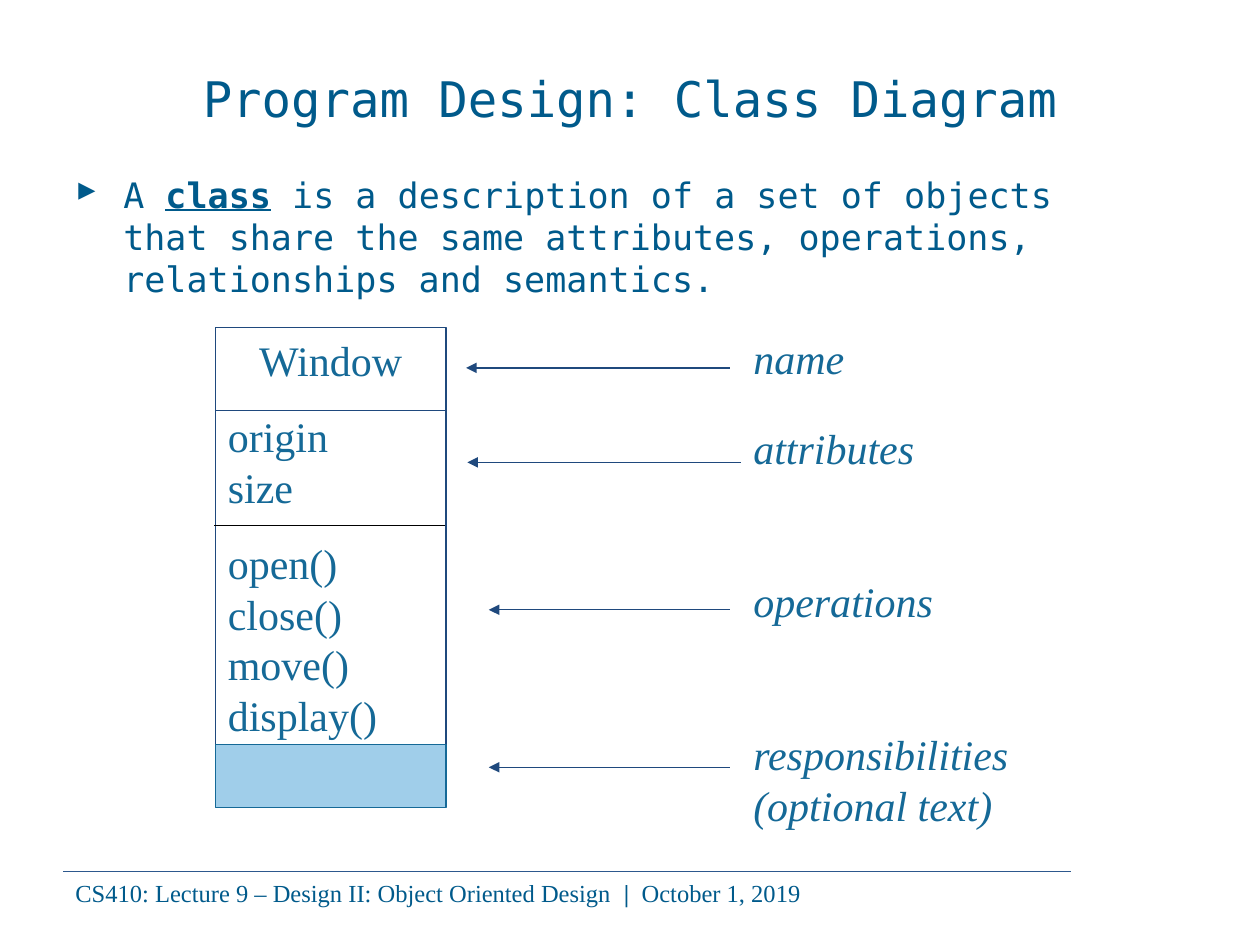
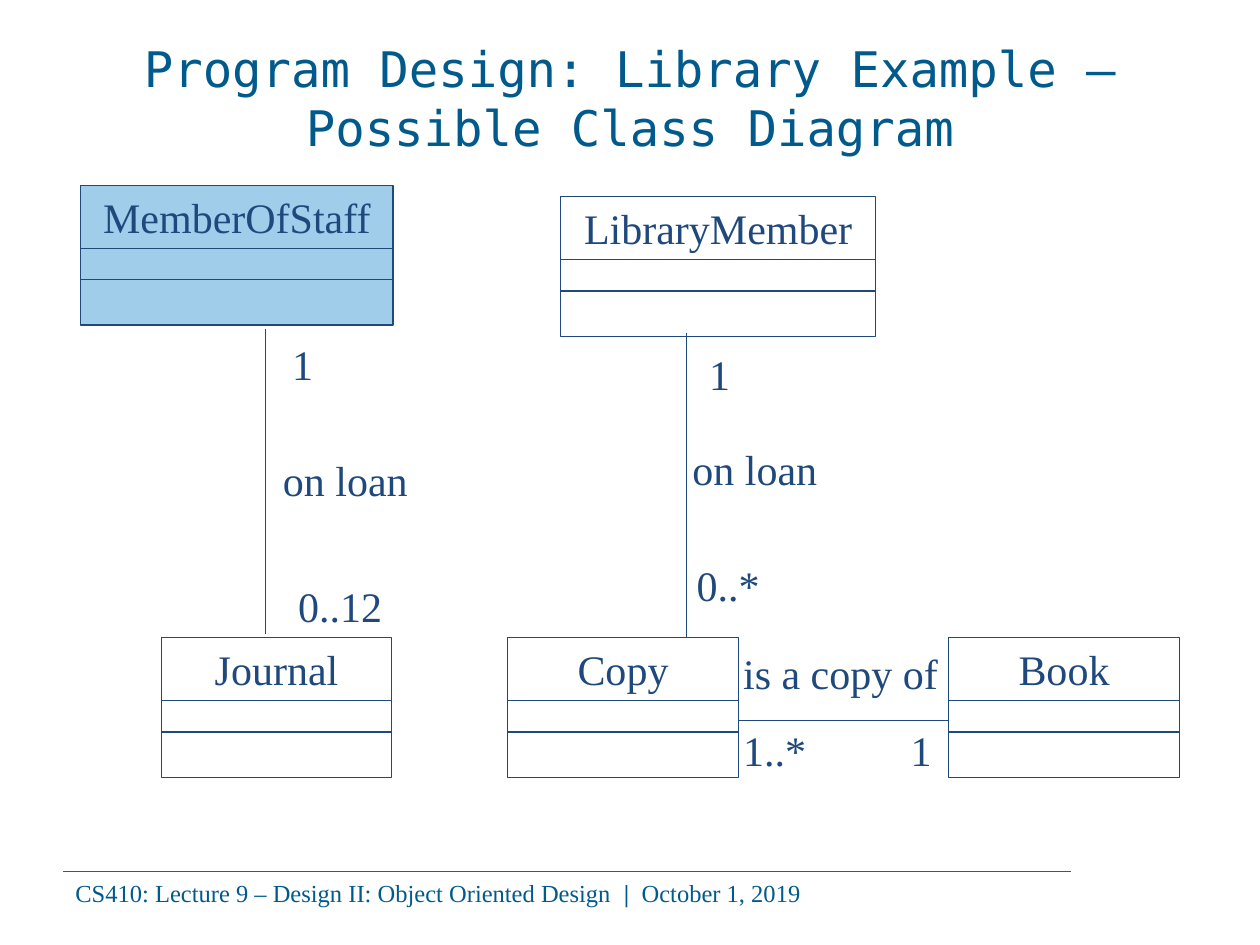
from lxml.etree import SubElement
from pptx import Presentation
from pptx.dml.color import RGBColor
from pptx.enum.shapes import MSO_CONNECTOR as Connector, MSO_SHAPE as Preset
from pptx.enum.text import MSO_ANCHOR as Anchor, PP_ALIGN as Align
from pptx.oxml.ns import qn
from pptx.util import Inches, Pt

COLORS = {
    "heading": "005A8B",
    "diagram": "1F497D",
    "member": "156997",
    "highlight": "A0CEEA",
    "footer_rule": "2D588D",
    "black": "000000",
}
MONO = "DejaVu Sans Mono"
SERIF = "Times New Roman"
LINE_HEIGHT = 1.2


class Deck:
    def __init__(self):
        self.prs = Presentation()
        self.prs.slide_width = Inches(10)
        self.prs.slide_height = Inches(7.5)
        self.slide = None

    def color(self, name):
        return RGBColor.from_string(COLORS[name])

    def start_slide(self, title):
        self.slide = self.prs.slides.add_slide(self.prs.slide_layouts[6])
        self.line((0.5, 6.92), (8.5, 6.92), "footer_rule", 0.5)
        footer = self.text(0.5, 6.92, 8.17, 0.34)
        self.paragraph(footer, [
            ("CS410: Lecture 9 – Design II: Object Oriented Design  ", {}),
            ("|  ", {"bold": True}),
            ("October 1, 2019", {}),
        ], 14, SERIF, "heading")
        heading = self.text(0.5, 0.3, 9, 0.95, Anchor.MIDDLE)
        self.paragraph(heading, [(title, {})], 28, MONO, "heading", Align.CENTER)

    def line(self, start, end, color="diagram", width=0.75, arrow=False):
        points = [Inches(value) for value in (*start, *end)]
        connector = self.slide.shapes.add_connector(Connector.STRAIGHT, *points)
        connector.line.color.rgb = self.color(color)
        connector.line.width = Pt(width)
        properties = connector._element.spPr
        if arrow:
            SubElement(properties.find(qn("a:ln")), qn("a:tailEnd"), type="triangle")
        SubElement(properties, qn("a:effectLst"))

    def text(self, left, top, width, height, anchor=Anchor.TOP):
        box = self.slide.shapes.add_textbox(*map(Inches, (left, top, width, height)))
        return self.prepare(box.text_frame, anchor)

    def prepare(self, frame, anchor):
        frame.word_wrap = True
        frame.vertical_anchor = anchor
        return frame

    def rect(self, left, top, width, height, fill=None, outline="diagram", anchor=Anchor.TOP):
        shape = self.slide.shapes.add_shape(
            Preset.RECTANGLE, *map(Inches, (left, top, width, height)))
        shape.shadow.inherit = False
        if fill:
            shape.fill.solid()
            shape.fill.fore_color.rgb = self.color(fill)
        else:
            shape.fill.background()
        shape.line.color.rgb = self.color(outline)
        shape.line.width = Pt(0.75)
        return self.prepare(shape.text_frame, anchor)

    def paragraph(self, frame, runs, size, font, color, align=Align.LEFT, before=0):
        paragraph = frame.paragraphs[0]
        if paragraph.runs:
            paragraph = frame.add_paragraph()
        paragraph.alignment = align
        paragraph.line_spacing = Pt(size * LINE_HEIGHT)
        paragraph.space_before = Pt(before)
        for words, emphasis in runs:
            run = paragraph.add_run()
            run.text = words
            run.font.size = Pt(size)
            run.font.name = font
            run.font.color.rgb = self.color(color)
            for attribute, value in emphasis.items():
                setattr(run.font, attribute, value)
        return paragraph

    def bullet(self, frame, runs):
        properties = self.paragraph(frame, runs, 20, MONO, "heading")._p.get_or_add_pPr()
        properties.set("marL", str(Inches(0.38)))
        properties.set("indent", str(-Inches(0.38)))
        bullet_color = SubElement(properties, qn("a:buClr"))
        SubElement(bullet_color, qn("a:srgbClr"), val=COLORS["heading"])
        SubElement(properties, qn("a:buChar"), char="▸")

    def label(self, words, left, top, width=0.5, align=Align.LEFT):
        frame = self.text(left, top, width, 0.5)
        self.paragraph(frame, [(words, {})], 24, SERIF, "diagram", align)

    def class_box(self, name, left, top, width=1.83, fill=None):
        frame = self.rect(left, top, width, 1.11, fill)
        self.paragraph(frame, [(name, {})], 24, SERIF, "diagram", Align.CENTER)
        for offset in (0.5, 0.75):
            self.line((left, top + offset), (left + width, top + offset))


def build_class_anatomy(deck):
    deck.start_slide("Program Design: Class Diagram")
    definition = deck.text(0.5, 1.33, 8.58, 1.2)
    deck.bullet(definition, [
        ("A ", {}),
        ("class", {"bold": True, "underline": True}),
        (" is a description of a set of objects that share the same attributes, "
         "operations, relationships and semantics.", {}),
    ])

    window = deck.rect(1.71, 2.6, 1.83, 3.32, anchor=Anchor.MIDDLE)
    for member, align, before in [
        ("Window", Align.CENTER, 0),
        ("origin", Align.LEFT, 15),
        ("size", Align.LEFT, 0),
        ("open()", Align.LEFT, 15),
        ("close()", Align.LEFT, 0),
        ("move()", Align.LEFT, 0),
        ("display()", Align.LEFT, 0),
    ]:
        deck.paragraph(window, [(member, {})], 24, SERIF, "member", align, before)
    deck.line((1.71, 3.26), (3.54, 3.26))
    deck.line((1.7, 4.17), (3.53, 4.17), "black")
    deck.rect(1.71, 5.91, 1.83, 0.5, "highlight", "member")

    parts = deck.text(5.88, 2.59, 2.42, 4.05)
    for part, before in [
        ("name", 0),
        ("attributes", 22.5),
        ("operations", 58.8),
        ("responsibilities (optional text)", 58.8),
    ]:
        deck.paragraph(parts, [(part, {"italic": True})], 24, SERIF, "member", before=before)
    for start, end, height in [
        (5.79, 3.7, 2.92),
        (5.88, 3.71, 3.67),
        (5.79, 3.88, 4.84),
        (5.79, 3.88, 6.09),
    ]:
        deck.line((start, height), (end, height), arrow=True)


def build_library_example(deck):
    deck.start_slide("Program Design: Library Example – Possible Class Diagram")
    deck.class_box("MemberOfStaff", 0.64, 1.47, 2.48, "highlight")
    deck.class_box("LibraryMember", 4.45, 1.56, 2.5)
    for name, left in [("Journal", 1.28), ("Copy", 4.03), ("Book", 7.53)]:
        deck.class_box(name, left, 5.06)

    deck.line((2.11, 2.61), (2.11, 5.03))
    deck.line((5.45, 2.64), (5.45, 5.06))
    deck.line((7.53, 5.72), (5.86, 5.72))

    for words, left, top in [
        ("1", 2.22, 2.64),
        ("1", 5.53, 2.72),
        ("1", 7.13, 5.7),
    ]:
        deck.label(words, left, top)
    deck.label("is a copy of", 5.8, 5.09, 1.8)
    deck.label("1..*", 5.8, 5.7, 1)
    for words, left, top, width in [
        ("on loan", 1.7, 3.56, 2.08),
        ("on loan", 4.95, 3.47, 2.08),
        ("0..12", 2.2, 4.56, 1),
        ("0..*", 5.28, 4.39, 1),
    ]:
        deck.label(words, left, top, width, Align.CENTER)


def main():
    deck = Deck()
    build_class_anatomy(deck)
    build_library_example(deck)
    deck.prs.save("out.pptx")


if __name__ == "__main__":
    main()
